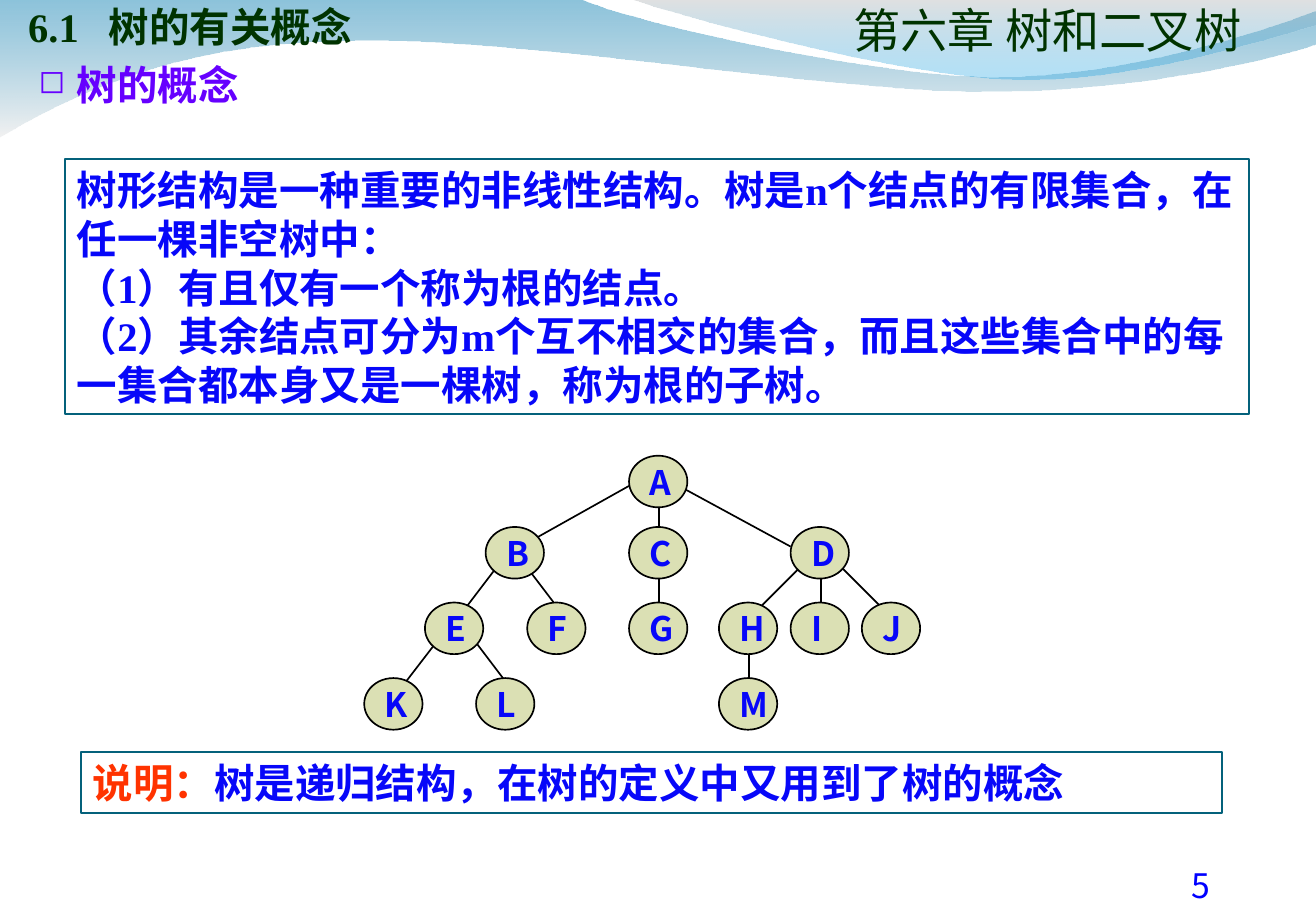
from lxml import etree
from pptx import Presentation
from pptx.dml.color import RGBColor
from pptx.enum.shapes import MSO_CONNECTOR, MSO_SHAPE
from pptx.enum.text import MSO_ANCHOR, PP_ALIGN
from pptx.oxml.ns import qn
from pptx.util import Cm, Pt

LEFT, CENTER = PP_ALIGN.LEFT, PP_ALIGN.CENTER
TOP, BOTTOM = MSO_ANCHOR.TOP, MSO_ANCHOR.BOTTOM
OVAL, RECTANGLE = MSO_SHAPE.OVAL, MSO_SHAPE.RECTANGLE
STRAIGHT = MSO_CONNECTOR.STRAIGHT
SERIF, SANS = "Times New Roman", "Noto Sans CJK SC"
COLORS = {
    "title": "003300", "heading": "6600FF", "body": "0707F9", "note": "FF3300",
    "number": "0000FF", "frame": "04617B", "node": "DBE0B4", "edge": "000000",
    "deep_blue": "0079AF", "pale": "E7E7E7", "gray": "BCBCBC", "sky": "009BE5",
}
BOX_INSETS = (0.25, 0.13, 0.25, 0.13)
TITLE_INSETS = (0, 0.13, 0, 0)
NODE_INSETS = (0.25, -0.04, 0, 0)
NODE_WIDTH, NODE_HEIGHT = 1.22, 1.08
TREE_LEVELS = [
    (9.53, {"A": 13.16}),
    (11.02, {"B": 10.16, "C": 13.16, "D": 16.54}),
    (12.6, {"E": 8.89, "F": 11.03, "G": 13.16, "H": 15.04, "I": 16.54, "J": 18.03}),
    (14.18, {"K": 7.62, "L": 9.96, "M": 15.04}),
]
TREE_EDGES = [
    (13.16, 10.16, 11.25, 11.23), (13.79, 10.59, 13.79, 11), (14.2, 10.16, 16.54, 11.43),
    (10.39, 11.86, 9.75, 12.7), (11.02, 11.86, 11.66, 12.7), (13.79, 12.07, 13.79, 12.7),
    (16.74, 11.86, 15.9, 12.7), (17.17, 12.07, 17.17, 12.7), (17.6, 11.86, 18.44, 12.7),
    (9.12, 13.44, 8.48, 14.27), (9.96, 13.44, 10.59, 14.27), (15.67, 13.64, 15.67, 14.27),
]
LOWER_WAVE = [
    [(0, -0.03)], [(12.12, -0.03)],
    [(13.08, 0.43), (18.26, 1.6), (20.88, 1.6)],
    [(23.47, 1.6), (26.37, 0.66), (27.51, 0.23)], [(27.56, 0.91)],
    [(27.05, 1.12), (23.93, 1.93), (20.52, 1.91)],
    [(17.12, 1.91), (10.52, 0.71), (7.09, 0.86)],
    [(3.56, 0.89), (1.27, 2.11), (-0.03, 2.87)],
]
UPPER_WAVE = [
    [(13.18, -0.03)],
    [(14.02, 0.28), (18.77, 1.57), (21.16, 1.65)],
    [(23.55, 1.75), (26.47, 0.81), (27.51, 0.53)], [(27.51, 0)],
]


def rgb(name):
    """Return a named colour."""
    return RGBColor.from_string(COLORS[name])


def bend_segments(wave, segments):
    """Turn the straight sides that have control points into cubic curves."""
    sides = list(wave._element.iter(qn("a:lnTo")))
    for side, segment in zip(sides, segments):
        if len(segment) == 3:
            curve = etree.Element(qn("a:cubicBezTo"))
            for x, y in segment:
                etree.SubElement(curve, qn("a:pt"),
                                 x=str(Cm(x) - wave.left), y=str(Cm(y) - wave.top))
            side.getparent().replace(side, curve)


def add_wave(slide, segments, stops):
    """Draw a closed wave with a translucent vertical gradient."""
    corners = [tuple(map(Cm, segment[-1])) for segment in segments]
    builder = slide.shapes.build_freeform(*corners[0])
    builder.add_line_segments(corners[1:], close=True)
    wave = builder.convert_to_shape()
    bend_segments(wave, segments[1:])
    wave.shadow.inherit = False
    wave.line.fill.background()
    wave.fill.gradient()
    wave.fill.gradient_angle = 270
    for gradient_stop, (color, opacity) in zip(wave.fill.gradient_stops, stops):
        gradient_stop.color.rgb = rgb(color)
    for element, (color, opacity) in zip(wave._element.iter(qn("a:srgbClr")), stops):
        etree.SubElement(element, qn("a:alpha"), val=str(opacity * 1000))


def write_text(shape, lines, size, color, font=SERIF, bold=True,
               alignment=LEFT, anchor=TOP, insets=BOX_INSETS):
    """Fill a shape with one paragraph of lines made of (text, colour) runs."""
    frame = shape.text_frame
    frame.word_wrap = True
    frame.vertical_anchor = anchor
    (frame.margin_left, frame.margin_top,
     frame.margin_right, frame.margin_bottom) = map(Cm, insets)
    paragraph = frame.paragraphs[0]
    paragraph.alignment = alignment
    if font == SERIF:
        paragraph.line_spacing = Pt(size * 1.2)
    paragraph.font.name = font
    paragraph.font.size = Pt(size)
    paragraph.font.bold = bold
    paragraph.font.color.rgb = rgb(color)
    etree.SubElement(paragraph.font._element, qn("a:ea"), typeface=SANS)
    for index, runs in enumerate(lines):
        if index:
            paragraph.add_line_break()
        for text, run_color in runs:
            run = paragraph.add_run()
            run.text = text
            if run_color != color:
                run.font.color.rgb = rgb(run_color)


def add_label(slide, box, text, size, color, **style):
    """Add a one-line text box and return its paragraph."""
    label = slide.shapes.add_textbox(*map(Cm, box))
    write_text(label, [[(text, color)]], size, color, **style)
    return label.text_frame.paragraphs[0]


def set_tab(paragraph, position):
    """Give a paragraph one left tab stop."""
    tabs = etree.Element(qn("a:tabLst"))
    etree.SubElement(tabs, qn("a:tab"), pos=str(Cm(position)), algn="l")
    paragraph.font._element.addprevious(tabs)


def set_bullet(paragraph, character, color, indent):
    """Give a paragraph a small coloured bullet with a hanging indent."""
    properties = paragraph._p.get_or_add_pPr()
    properties.set("marL", str(Cm(indent)))
    properties.set("indent", str(-Cm(indent)))
    bullet_color = etree.Element(qn("a:buClr"))
    etree.SubElement(bullet_color, qn("a:srgbClr"), val=COLORS[color])
    bullet_size = etree.Element(qn("a:buSzPct"), val="80000")
    bullet = etree.Element(qn("a:buChar"), char=character)
    for element in (bullet_color, bullet_size, bullet):
        paragraph.font._element.addprevious(element)


def add_outlined(shapes, kind, box, line_color):
    """Add an unfilled preset shape with a thin outline."""
    shape = shapes.add_shape(kind, *map(Cm, box))
    shape.shadow.inherit = False
    shape.fill.background()
    shape.line.color.rgb = rgb(line_color)
    shape.line.width = Pt(1)
    return shape


def add_frame(slide, box, lines):
    """Add a framed block of body text."""
    frame = add_outlined(slide.shapes, RECTANGLE, box, "frame")
    write_text(frame, lines, 24, "body")


def add_edge(shapes, ends):
    """Add a line between two tree nodes."""
    edge = shapes.add_connector(STRAIGHT, *map(Cm, ends))
    edge.line.color.rgb = rgb("edge")
    edge.line.width = Pt(1)
    etree.SubElement(edge._element.spPr, qn("a:effectLst"))


def add_node(shapes, letter, left, top):
    """Add a lettered tree node."""
    node = add_outlined(shapes, OVAL, (left, top, NODE_WIDTH, NODE_HEIGHT), "edge")
    node.fill.solid()
    node.fill.fore_color.rgb = rgb("node")
    write_text(node, [[(letter, "body")]], 20, "body", font=SANS, insets=NODE_INSETS)


def add_tree(slide):
    """Draw the grouped tree, edges behind nodes."""
    shapes = slide.shapes.add_group_shape().shapes
    for ends in TREE_EDGES:
        add_edge(shapes, ends)
    for top, nodes in TREE_LEVELS:
        for letter, left in nodes.items():
            add_node(shapes, letter, left, top)


def main():
    """Build and save the slide."""
    presentation = Presentation()
    presentation.slide_width, presentation.slide_height = Cm(27.53), Cm(19.05)
    slide = presentation.slides.add_slide(presentation.slide_layouts[6])
    add_wave(slide, LOWER_WAVE, [("deep_blue", 45), ("pale", 55)])
    add_wave(slide, UPPER_WAVE, [("gray", 45), ("sky", 30)])
    add_label(slide, (22.79, 17.96, 4.65, 1.3), "5", 20, "number",
              font=SANS, bold=False, alignment=CENTER)
    add_label(slide, (17.73, -0.79, 8.36, 2.01), "第六章 树和二叉树", 28, "title",
              bold=False, alignment=CENTER, anchor=BOTTOM, insets=TITLE_INSETS)
    add_frame(slide, (1.36, 3.33, 24.77, 5.33), [
        [("树形结构是一种重要的非线性结构。树是n个结点的有限集合，在任一棵非空树中：", "body")],
        [("（1）有且仅有一个称为根的结点。", "body")],
        [("（2）其余结点可分为m个互不相交的集合，而且这些集合中的"
          "每一集合都本身又是一棵树，称为根的子树。", "body")],
    ])
    add_frame(slide, (1.69, 15.73, 23.88, 1.27), [
        [("说明：", "note"), ("树是递归结构，在树的定义中又用到了树的概念", "body")],
    ])
    add_tree(slide)
    heading = add_label(slide, (0.56, 1.12, 11.76, 1.27), "树的概念", 24, "heading")
    set_bullet(heading, "◻", "heading", 0.8)
    title = add_label(slide, (0.59, -1.07, 24.77, 2.13), "6.1\t树的有关概念", 24, "title",
                      anchor=BOTTOM, insets=TITLE_INSETS)
    set_tab(title, 1.69)
    presentation.save("out.pptx")


if __name__ == "__main__":
    main()
